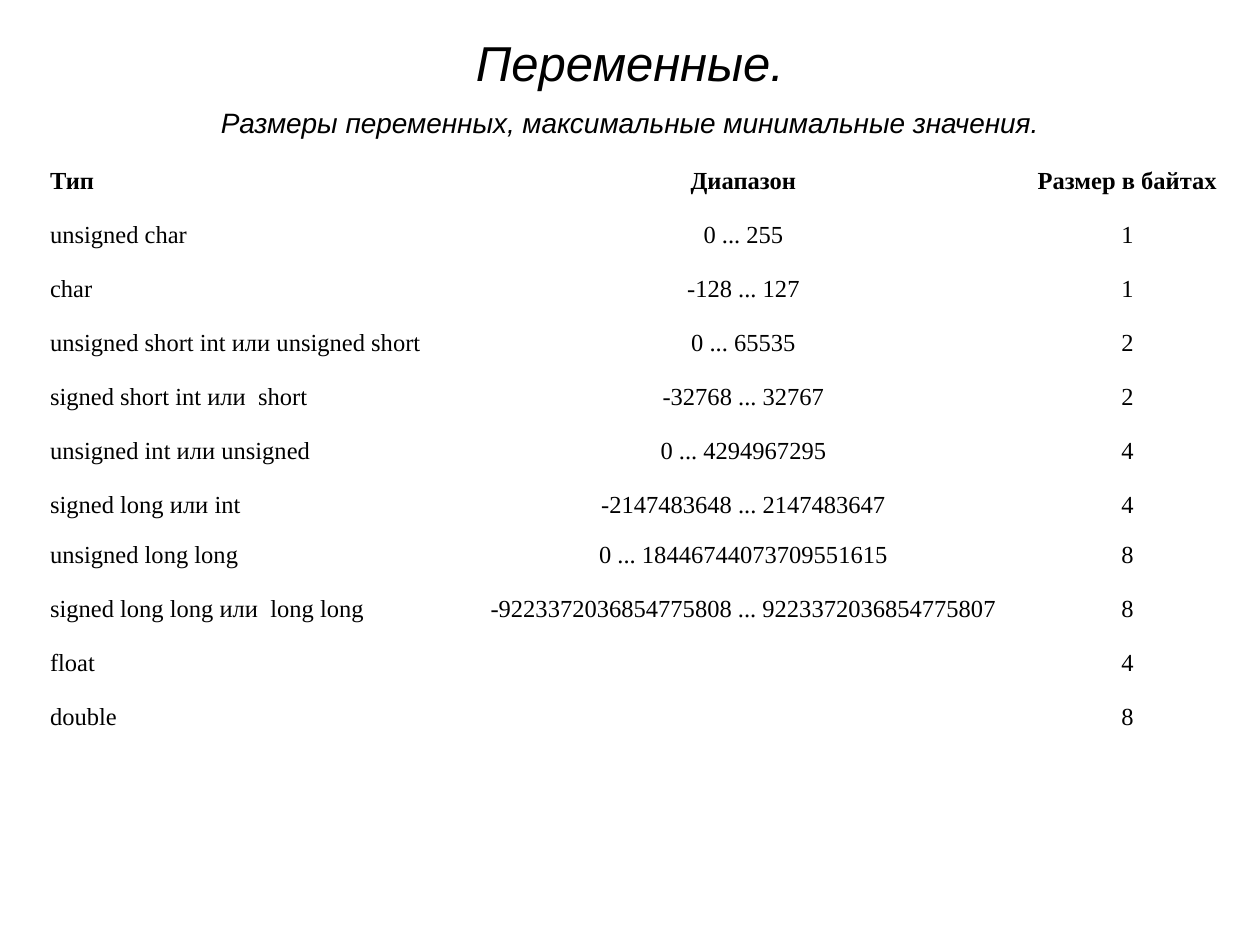
from pptx import Presentation
from pptx import util as u
from pptx.dml.color import RGBColor
from pptx.enum import text

PX = u.Inches(1) // 126
BLACK = RGBColor(0, 0, 0)
CENTER, JUSTIFY = text.PP_ALIGN.CENTER, text.PP_ALIGN.JUSTIFY

# wording, top, height, top inset, font size
HEADINGS = [
    ("Переменные.", 20, 88, 13, 28),
    ("Размеры переменных, максимальные минимальные значения.", 98, 59, 8, 16),
]
TYPES = [
    ("Тип", "Диапазон", "Размер в байтах"),
    ("unsigned char", "0 ... 255", "1"),
    ("char", "-128 ... 127", "1"),
    ("unsigned short int или unsigned short", "0 ... 65535", "2"),
    ("signed short int или  short ", "-32768 ... 32767", "2"),
    ("unsigned int или unsigned ", "0 ... 4294967295", "4"),
    ("signed long или int", "-2147483648 ... 2147483647", "4"),
    ("unsigned long long", "0 ... 18446744073709551615", "8"),
    ("signed long long или  long long",
     "-9223372036854775808 ... 9223372036854775807", "8"),
    ("float", "", "4"),
    ("double", "", "8"),
]
COLUMN_WIDTHS = [404, 581, 187]
ROW_HEIGHTS = [54] * 7 + [50] + [54] * 3
TABLE_LEFT, TABLE_TOP = 49, 147
SLIDE_WIDTH, SLIDE_HEIGHT = 1260, 945


def px(*lengths):
    return [length * PX for length in lengths]


def set_values(target, values):
    for name, value in values.items():
        setattr(target, name, value)


def write(paragraph, wording, alignment, **font):
    paragraph.alignment = alignment
    set_values(paragraph.font, font)
    if wording:
        run = paragraph.add_run()
        run.text = wording
        set_values(run.font, font)
        run.font.color.rgb = BLACK


def add_heading(slide, wording, top, height, inset, size):
    box = slide.shapes.add_textbox(*px(0, top, SLIDE_WIDTH, height))
    set_values(box.text_frame, {"word_wrap": True, "margin_top": inset * PX})
    write(box.text_frame.paragraphs[0], wording, CENTER,
          name="Arial", size=u.Pt(size), italic=True)


def add_type_table(slide):
    frame = slide.shapes.add_table(
        len(TYPES), len(COLUMN_WIDTHS),
        *px(TABLE_LEFT, TABLE_TOP, sum(COLUMN_WIDTHS), sum(ROW_HEIGHTS)))
    table = frame.table
    set_values(table, {"first_row": False, "horz_banding": False})
    for column, width in zip(table.columns, COLUMN_WIDTHS):
        column.width = width * PX
    for row, height in zip(table.rows, ROW_HEIGHTS):
        row.height = height * PX
    cell_format = {
        "margin_left": PX, "margin_right": PX,
        "margin_top": 6 * PX, "margin_bottom": 6 * PX,
        "vertical_anchor": text.MSO_ANCHOR.BOTTOM,
    }
    for i, values in enumerate(TYPES):
        for j, value in enumerate(values):
            cell = table.cell(i, j)
            cell.fill.background()
            set_values(cell, cell_format)
            write(cell.text_frame.paragraphs[0], value,
                  CENTER if j else JUSTIFY, name="Times New Roman",
                  size=u.Pt(14), bold=i == 0)


def main():
    presentation = Presentation()
    presentation.slide_width, presentation.slide_height = px(SLIDE_WIDTH, SLIDE_HEIGHT)
    slide = presentation.slides.add_slide(presentation.slide_layouts[6])
    for heading in HEADINGS:
        add_heading(slide, *heading)
    add_type_table(slide)
    presentation.save("out.pptx")


if __name__ == "__main__":
    main()
